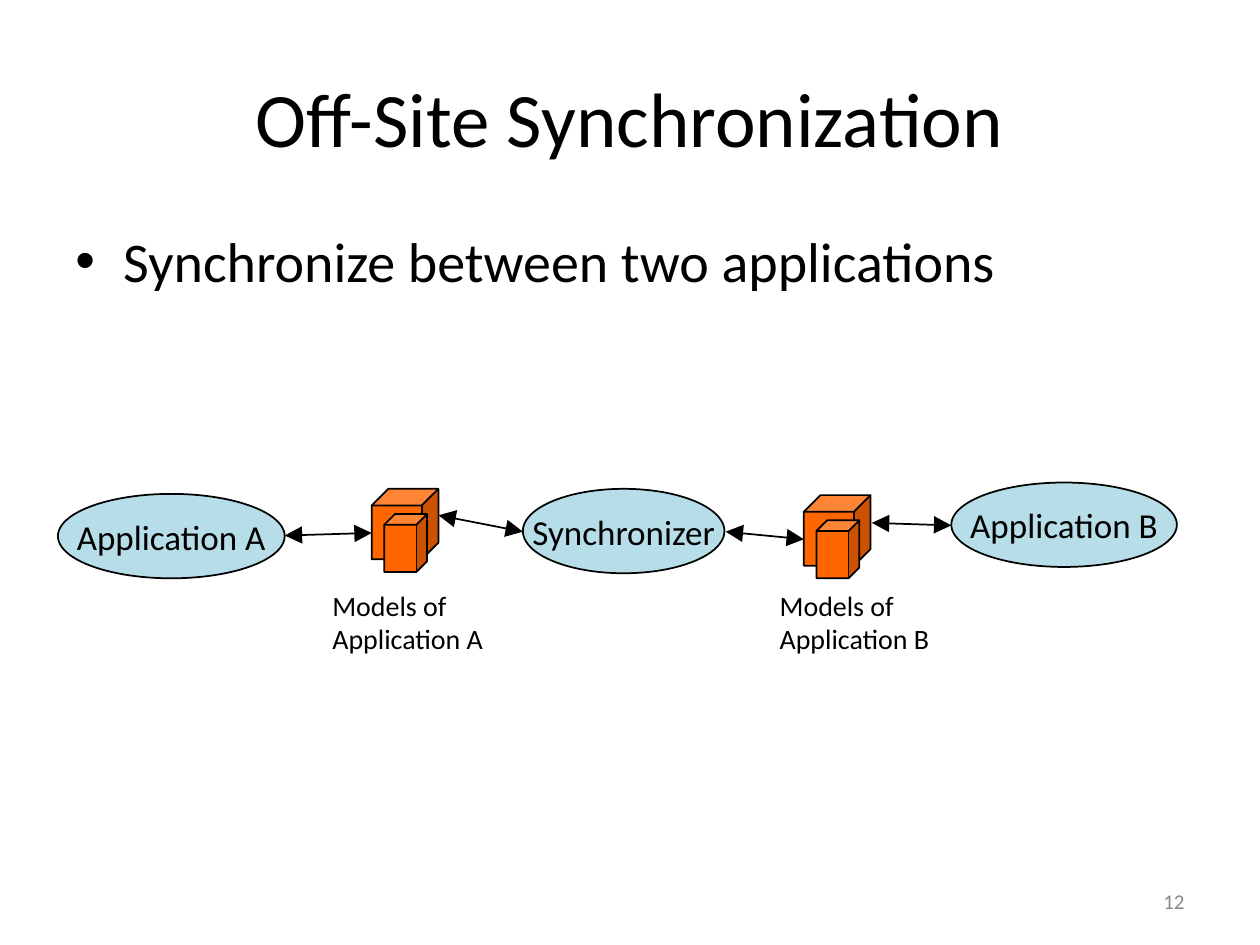
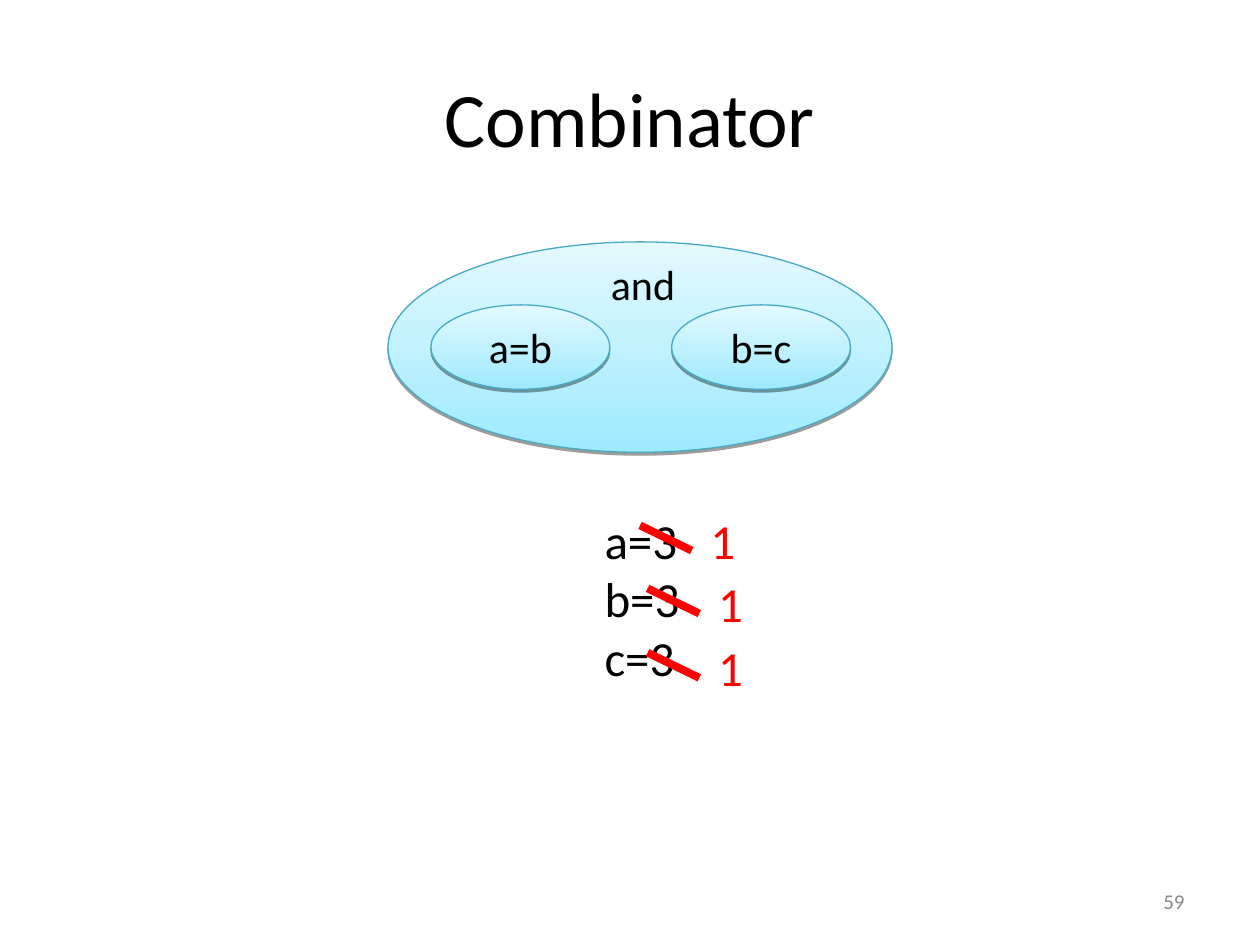
import dataclasses

import pptx
import pptx.dml.color
import pptx.enum.shapes
import pptx.enum.text
import pptx.oxml
import pptx.oxml.ns
import pptx.util


@dataclasses.dataclass(frozen=True)
class Theme:
    font: str = "Calibri"
    ink: str = "000000"
    grey: str = "898989"
    red: str = "FF0000"
    orange: str = "FF6600"
    pale_blue: str = "B7DEE8"
    rim: str = "46AAC5"
    gradient: tuple = ("9EEAFF", "E4F9FF")
    title: int = 44
    body: int = 32
    value: int = 28
    term: int = 24
    label: int = 20
    caption: int = 16
    number: int = 12


theme = Theme()
PX = 9144
rgb = pptx.dml.color.RGBColor.from_string
align = pptx.enum.text.PP_ALIGN
anchor = pptx.enum.text.MSO_ANCHOR
grow = pptx.enum.text.MSO_AUTO_SIZE.SHAPE_TO_FIT_TEXT
shapes = pptx.enum.shapes.MSO_SHAPE
drawing = pptx.oxml.ns.nsdecls("a")

centred = {"vertical_anchor": anchor.MIDDLE, "word_wrap": True}
centred_loose = {"vertical_anchor": anchor.MIDDLE, "word_wrap": False}
fitted = {"word_wrap": False, "auto_size": grow}
fitted_wrapped = {"word_wrap": True, "auto_size": grow}


def write(box, lines, size, frame_format, alignment=align.LEFT, color=theme.ink):
    frame = box.text_frame
    for name, value in frame_format.items():
        setattr(frame, name, value)
    frame.text = "\n".join(lines)
    font_format = {"name": theme.font, "size": pptx.util.Pt(size)}
    for para in frame.paragraphs:
        para.alignment = alignment
        for span in para.runs:
            for name, value in font_format.items():
                setattr(span.font, name, value)
            span.font.color.rgb = rgb(color)


def draw_line(page, ends, color, width, arrows=False):
    line = page.shapes.add_connector(
        pptx.enum.shapes.MSO_CONNECTOR.STRAIGHT, *(n * PX for n in ends))
    line.line.color.rgb = rgb(color)
    line.line.width = pptx.util.Pt(width)
    if arrows:
        for end in ("headEnd", "tailEnd"):
            line.line._get_or_add_ln().append(pptx.oxml.parse_xml(
                f'<a:{end} {drawing} type="triangle" w="lg" len="lg"/>'))
    line._element.spPr.append(pptx.oxml.parse_xml(f"<a:effectLst {drawing}/>"))


deck = pptx.Presentation()
deck.slide_width, deck.slide_height = 1000 * PX, 750 * PX

pages = []
for title, number in (("Off-Site Synchronization", "12"), ("Combinator", "59")):
    page = deck.slides.add_slide(deck.slide_layouts[6])
    box = page.shapes.add_textbox(50 * PX, 30 * PX, 900 * PX, 125 * PX)
    write(box, [title], theme.title, centred, align.CENTER)
    box = page.shapes.add_textbox(717 * PX, 695 * PX, 233 * PX, 40 * PX)
    write(box, [number], theme.number, centred, align.RIGHT, theme.grey)
    pages.append(page)
sync_page, combinator_page = pages

box = sync_page.shapes.add_textbox(50 * PX, 175 * PX, 900 * PX, 495 * PX)
write(box, ["Synchronize between two applications"], theme.body, {"word_wrap": True})
bullet = box.text_frame.paragraphs[0]._p.get_or_add_pPr()
bullet.set("marL", str(38 * PX))
bullet.set("indent", str(-38 * PX))
for tag in ('buFont {} typeface="Arial"', 'buChar {} char="•"'):
    bullet.append(pptx.oxml.parse_xml(f"<a:{tag.format(drawing)}/>"))

for left, top in ((295, 388), (638, 393)):
    for dx, dy, width, height in ((0, 0, 53, 56), (10, 20, 34, 46)):
        cube = sync_page.shapes.add_shape(
            shapes.CUBE, (left + dx) * PX, (top + dy) * PX, width * PX, height * PX)
        cube.shadow.inherit = False
        cube.fill.solid()
        cube.fill.fore_color.rgb = rgb(theme.orange)
        cube.line.color.rgb = rgb(theme.ink)
        cube.line.width = pptx.util.Pt(1)

for label, left, top, width in (
    ("Application A", 46, 392, 180),
    ("Synchronizer", 415, 388, 160),
    ("Application B", 755, 383, 179),
):
    tool = sync_page.shapes.add_shape(
        shapes.OVAL, left * PX, top * PX, width * PX, 67 * PX)
    tool.shadow.inherit = False
    tool.fill.solid()
    tool.fill.fore_color.rgb = rgb(theme.pale_blue)
    tool.line.color.rgb = rgb(theme.ink)
    tool.line.width = pptx.util.Pt(1)
    write(tool, [label], theme.label, centred_loose, align.CENTER)

for ends in ((295, 423, 226, 425), (348, 409, 415, 422),
             (576, 422, 638, 428), (755, 417, 692, 415)):
    draw_line(sync_page, ends, theme.ink, 1, arrows=True)

for owner, left in (("Application A", 254), ("Application B", 609)):
    box = sync_page.shapes.add_textbox(left * PX, 462 * PX, 140 * PX, 64 * PX)
    write(box, ["Models of", owner], theme.caption, fitted)

for term, left, top, width, height in (
    ("", 308, 192, 400, 167),
    ("a=b", 342, 242, 142, 67),
    ("b=c", 533, 242, 142, 67),
):
    oval = combinator_page.shapes.add_shape(
        shapes.OVAL, left * PX, top * PX, width * PX, height * PX)
    oval.fill.gradient()
    oval.fill.gradient_angle = 90
    for stop, color, position in zip(oval.fill.gradient_stops, theme.gradient, (0, 1)):
        stop.color.rgb = rgb(color)
        stop.position = position
    oval.line.color.rgb = rgb(theme.rim)
    oval.line.width = pptx.util.Pt(0.75)
    oval.shadow.inherit = False
    oval._element.spPr.find(pptx.oxml.ns.qn("a:effectLst")).append(pptx.oxml.parse_xml(
        f'<a:outerShdw {drawing} blurRad="0" dist="{pptx.util.Pt(1.6)}" dir="5400000" '
        f'rotWithShape="0"><a:srgbClr val="{theme.ink}"><a:alpha val="38000"/>'
        "</a:srgbClr></a:outerShdw>"))
    if term:
        write(oval, [term], theme.term, centred, align.CENTER)

box = combinator_page.shapes.add_textbox(475 * PX, 200 * PX, 71 * PX, 50 * PX)
write(box, ["and"], theme.term, fitted)
box = combinator_page.shapes.add_textbox(470 * PX, 400 * PX, 84 * PX, 150 * PX)
write(box, ["a=3", "b=3", "c=3"], theme.value, fitted_wrapped)

for left, top in ((508, 417), (514, 467), (514, 518)):
    draw_line(combinator_page, (left, top, left + 41, top + 20), theme.red, 4.5)
    box = combinator_page.shapes.add_textbox(
        (left + 46) * PX, (top - 17) * PX, 39 * PX, 57 * PX)
    write(box, ["1"], theme.value, fitted_wrapped, color=theme.red)

deck.save("out.pptx")
